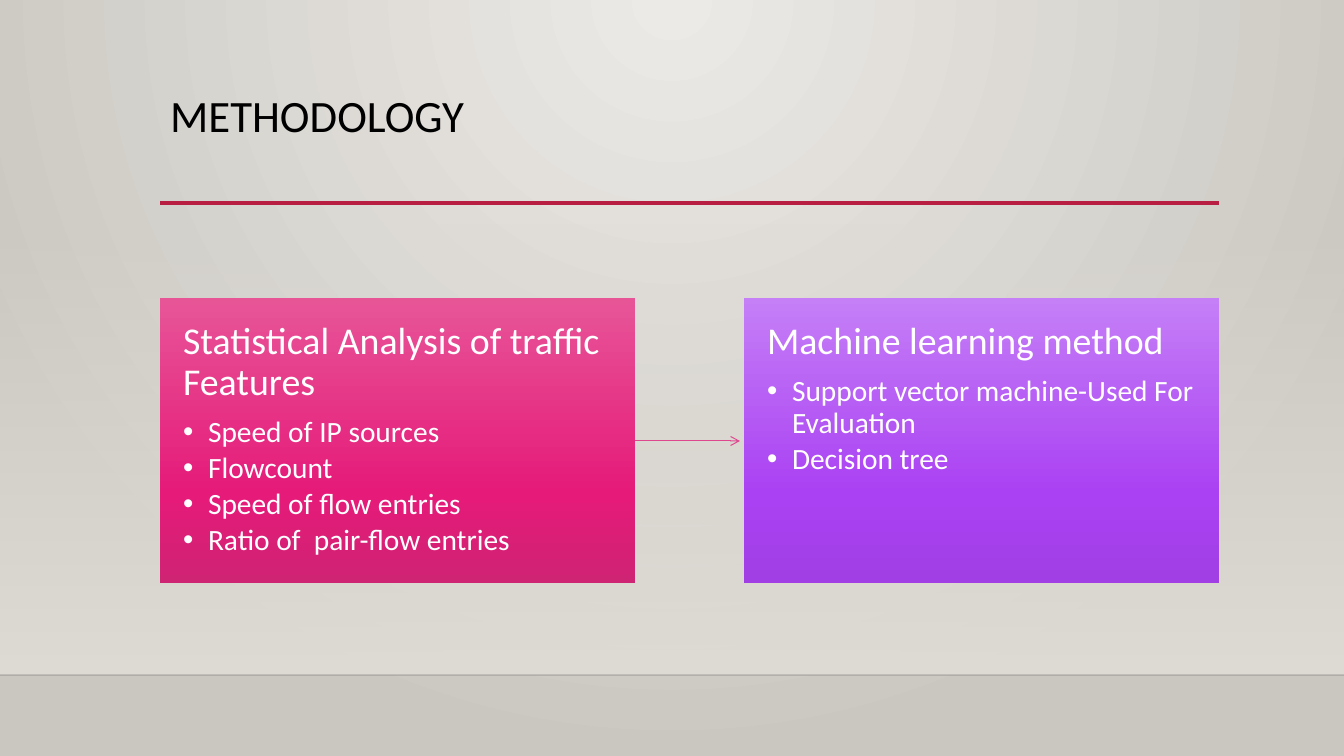
"""Builds the methodology slide: two linked cards of detection methods."""
from lxml.etree import SubElement
from pptx import Presentation
from pptx.dml.color import RGBColor as RGB
from pptx.enum.shapes import MSO_CONNECTOR as CONN, MSO_SHAPE as SHAPE
from pptx.enum.text import MSO_ANCHOR as ANCHOR, PP_ALIGN as ALIGN
from pptx.oxml.ns import qn
from pptx.util import Emu, Pt

EMU_PER_PX = 914400 / 100.8
WIDTH, HEIGHT = 1344, 756
BLACK, WHITE = RGB(0, 0, 0), RGB(255, 255, 255)
CRIMSON, ROSE = RGB(0xB7, 0x1E, 0x42), RGB(0xDE, 0x47, 0x8E)
WALL_LIGHT, WALL_DARK = RGB(0xEC, 0xEA, 0xE7), RGB(0xCA, 0xC7, 0xC1)
SAND = RGB(0xDF, 0xDB, 0xD5)
PINKS = RGB(0xE7, 0x55, 0x97), RGB(0xE5, 0x1A, 0x79), RGB(0xCF, 0x23, 0x74)
PURPLES = RGB(0xC5, 0x7F, 0xF7), RGB(0xAA, 0x41, 0xF3), RGB(0xA1, 0x3F, 0xE5)

LEFT, CONTENT_W, FLOOR_Y = 160, 1059, 675
CARD_TOP, CARD_W, CARD_H, CARD_STEP = 298, 475, 285, 584
CARDS = [
    ("Statistical Analysis of traffic Features", PINKS,
     ["Speed of IP sources", "Flowcount", "Speed of flow entries",
      "Ratio of  pair-flow entries"]),
    ("Machine learning method", PURPLES,
     ["Support vector machine-Used For Evaluation", "Decision tree"]),
]


def px(n):
    """Turn pixels into EMU."""
    return Emu(round(n * EMU_PER_PX))


def add(parent, tag, **attrs):
    """Append a drawing element with its attributes."""
    return SubElement(parent, qn(tag), {k: str(v) for k, v in attrs.items()})


class Deck:
    """Holds the style and the current slide."""
    font = "Calibri"

    def __init__(self):
        """Open a widescreen presentation with one title-only slide."""
        self.prs = Presentation()
        self.prs.slide_width, self.prs.slide_height = px(WIDTH), px(HEIGHT)
        self.s = self.prs.slides.add_slide(self.prs.slide_layouts[5])

    def gradient(self, fill, element, stops, radial=False):
        """Fill with (percent, colour, alpha percent) stops."""
        fill.gradient()
        grad = next(element.iter(qn("a:gradFill")))
        for child in list(grad):
            grad.remove(child)
        gs_list = add(grad, "a:gsLst")
        for pos, color, alpha in stops:
            clr = add(add(gs_list, "a:gs", pos=pos * 1000), "a:srgbClr", val=color)
            if alpha < 100:
                add(clr, "a:alpha", val=alpha * 1000)
        if radial:
            add(add(grad, "a:path", path="circle"), "a:fillToRect",
                l=43000, t=0, r=43000, b=100000)
        else:
            add(grad, "a:lin", ang=5400000, scaled=0)

    def background(self, inner, outer):
        """Paint a radial glow from the top centre."""
        self.gradient(self.s.background.fill, self.s._element,
                      [(0, inner, 100), (100, outer, 100)], radial=True)

    def rect(self, x, y, w, h, stops):
        """Add a borderless gradient rectangle."""
        sp = self.s.shapes.add_shape(SHAPE.RECTANGLE, px(x), px(y), px(w), px(h))
        sp.shadow.inherit = False
        sp.line.fill.background()
        self.gradient(sp.fill, sp._element, stops)
        return sp

    def line(self, x1, y1, x2, y2, color, width, alpha=100, arrow=False):
        """Add a straight line, optionally with an arrowhead."""
        c = self.s.shapes.add_connector(CONN.STRAIGHT, px(x1), px(y1), px(x2), px(y2))
        c.line.color.rgb, c.line.width = color, Pt(width)
        if alpha < 100:
            add(next(c._element.iter(qn("a:srgbClr"))), "a:alpha", val=alpha * 1000)
        if arrow:
            add(c.line._get_or_add_ln(), "a:tailEnd", type="arrow")
        add(c._element.spPr, "a:effectLst")

    def paragraph(self, p, text, size, color, after=0):
        """Fill a left-aligned paragraph with one run."""
        p.alignment, p.line_spacing, p.space_after = ALIGN.LEFT, 0.9, Pt(after)
        r = p.add_run()
        r.text = text
        r.font.name, r.font.size, r.font.color.rgb = self.font, Pt(size), color

    def title(self, text, x, y, w, h):
        """Place and format the title."""
        sp = self.s.shapes.title
        sp.left, sp.top, sp.width, sp.height = px(x), px(y), px(w), px(h)
        tf = sp.text_frame
        tf.vertical_anchor = ANCHOR.TOP
        self.paragraph(tf.paragraphs[0], text, 32, BLACK)

    def card(self, x, heading, colors, items):
        """Add a gradient card with a heading and bullets."""
        stops = [(pos, color, 100) for pos, color in zip((0, 69, 100), colors)]
        tf = self.rect(x, CARD_TOP, CARD_W, CARD_H, stops).text_frame
        tf.word_wrap, tf.vertical_anchor = True, ANCHOR.TOP
        tf.margin_left = tf.margin_right = px(23)
        tf.margin_top = tf.margin_bottom = px(24)
        self.paragraph(tf.paragraphs[0], heading, 27, WHITE, 9.5)
        for item in items:
            p = tf.add_paragraph()
            p.level = 1
            self.paragraph(p, item, 21, WHITE, 3)
            p_pr = p._p.get_or_add_pPr()
            p_pr.set("marL", str(px(25)))
            p_pr.set("indent", str(-px(25)))
            add(p_pr, "a:buFont", typeface="Arial")
            add(p_pr, "a:buChar", char="•")


deck = Deck()
deck.background(WALL_LIGHT, WALL_DARK)
deck.rect(0, 223, WIDTH, FLOOR_Y - 223, [(0, SAND, 0), (100, SAND, 100)])
deck.line(0, FLOOR_Y, WIDTH, FLOOR_Y, BLACK, 1, alpha=20)
deck.line(LEFT, 203, LEFT + CONTENT_W, 203, CRIMSON, 2.5)
deck.title("METHODOLOGY", LEFT, 89, CONTENT_W, 115)
deck.line(LEFT + CARD_W, 441, LEFT + CARD_STEP - 4, 441, ROSE, 0.75, arrow=True)
for i, (heading, colors, items) in enumerate(CARDS):
    deck.card(LEFT + i * CARD_STEP, heading, colors, items)
deck.prs.save("out.pptx")
